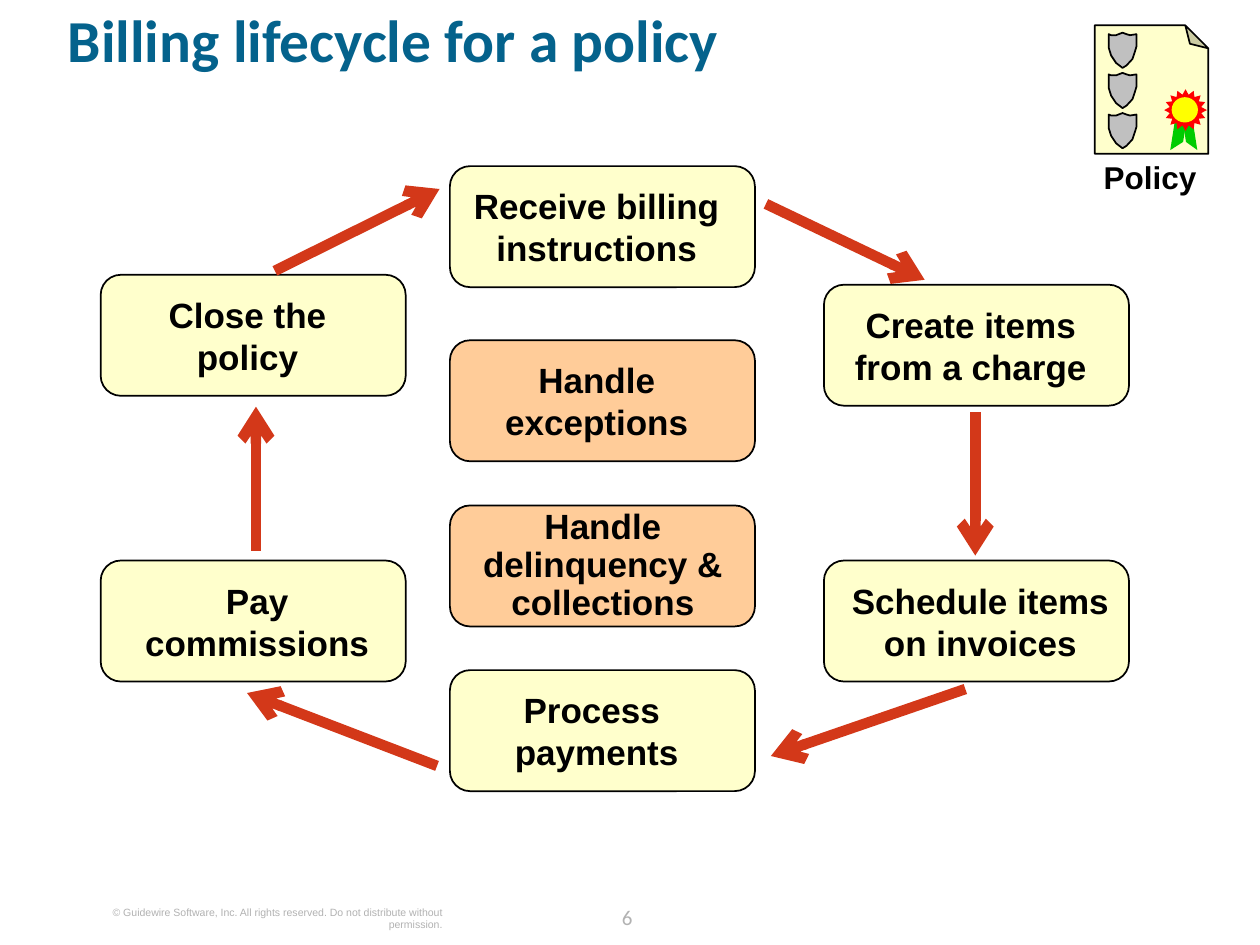
from lxml.etree import SubElement
from pptx import Presentation
from pptx.dml.color import RGBColor
from pptx.enum.shapes import MSO_CONNECTOR, MSO_SHAPE as Shape
from pptx.enum.text import MSO_ANCHOR as Anchor, PP_ALIGN as Align
from pptx.oxml.ns import qn
from pptx.util import Cm, Pt

BLACK = RGBColor(0x00, 0x00, 0x00)
TITLE_BLUE = RGBColor(0x04, 0x62, 0x8C)
FOOTER_GRAY = RGBColor(0xB2, 0xB2, 0xB2)
CREAM = RGBColor(0xFF, 0xFF, 0xCC)
PEACH = RGBColor(0xFF, 0xCC, 0x99)
ARROW_RED = RGBColor(0xD3, 0x38, 0x19)
SHIELD_GRAY = RGBColor(0xC0, 0xC0, 0xC0)
RIBBON_GREEN = RGBColor(0x00, 0xCC, 0x00)
SEAL_RED = RGBColor(0xFF, 0x00, 0x00)
SEAL_YELLOW = RGBColor(0xFF, 0xFF, 0x00)

STEP_WIDTH, STEP_HEIGHT = 6.15, 2.44
LEFT, MIDDLE, RIGHT = 2.03, 9.07, 16.61
NORMAL_LABEL = (0.13, 5.66, 1.96)  # offset from the step, width, height
WIDE_LABEL = (0.13, 6.05, 1.96)
TALL_LABEL = (0, 6.17, 2.57)

STEPS = [
    ("Receive billing instructions", MIDDLE, 3.35, CREAM, NORMAL_LABEL, 1),
    ("Process \vpayments", MIDDLE, 13.51, CREAM, NORMAL_LABEL, 1),
    ("Create items from a charge", RIGHT, 5.74, CREAM, NORMAL_LABEL, 1),
    ("Schedule items on invoices", RIGHT, 11.3, CREAM, WIDE_LABEL, 1),
    ("Pay\vcommissions", LEFT, 11.3, CREAM, WIDE_LABEL, 1),
    ("Close the policy", LEFT, 5.54, CREAM, NORMAL_LABEL, 1),
    ("Handle exceptions", MIDDLE, 6.86, PEACH, NORMAL_LABEL, 1),
    ("Handle delinquency & collections", MIDDLE, 10.19, PEACH, TALL_LABEL, 0.9),
]

ARROWS = [
    (15.44, 4.11, 18.64, 5.64),
    (19.46, 13.89, 15.54, 15.24),
    (8.81, 15.44, 4.98, 13.97),
    (5.54, 5.46, 8.86, 3.81),
    (5.16, 11.1, 5.16, 8.2),
    (19.66, 8.31, 19.66, 11.2),
]

# Hundredths of a centimetre from the top left of the shield
SHIELD_OUTLINE = [
    (28, 71), (15, 61), (5, 46), (0, 30), (0, 3), (5, 5), (15, 5), (20, 3),
    (28, 0), (36, 3), (43, 5), (56, 3), (56, 28), (53, 38), (48, 53), (36, 66),
]


def paint(shape, fill, outlined):
    shape.shadow.inherit = False
    shape.fill.solid()
    shape.fill.fore_color.rgb = fill
    if outlined:
        shape.line.color.rgb = BLACK
        shape.line.width = Pt(1)
    else:
        shape.line.fill.background()


def set_adjustment(shape, value):
    """Write the guide in XML, as some presets list no adjustments in python-pptx."""
    guides = shape.element.spPr.find(qn("a:prstGeom")).find(qn("a:avLst"))
    guides.clear()
    SubElement(guides, qn("a:gd"), name="adj", fmla=f"val {round(value * 100000)}")


def add_preset(slide, kind, frame, fill, outlined=False, rotation=0, adjustment=None):
    shape = slide.shapes.add_shape(kind, *map(Cm, frame))
    paint(shape, fill, outlined)
    shape.rotation = rotation
    if adjustment is not None:
        set_adjustment(shape, adjustment)
    return shape


def remove_insets(text_frame):
    text_frame.margin_left = text_frame.margin_right = 0
    text_frame.margin_top = text_frame.margin_bottom = 0


def format_paragraph(para, size, color, name="Arial", bold=False, align=Align.CENTER):
    para.alignment = align
    para.font.size = Pt(size)
    para.font.name = name
    para.font.bold = bold
    para.font.color.rgb = color


def add_text(slide, text, frame, size, color, **font):
    box = slide.shapes.add_textbox(*map(Cm, frame))
    box.text_frame.word_wrap = True
    box.text_frame.text = text
    format_paragraph(box.text_frame.paragraphs[0], size, color, **font)
    return box.text_frame


def set_title(slide, text):
    title = slide.shapes.title
    title.left, title.top, title.width, title.height = map(Cm, (1.37, 0.33, 23.11, 2.06))
    frame = title.text_frame
    frame.text = text
    frame.vertical_anchor = Anchor.TOP
    remove_insets(frame)
    para = frame.paragraphs[0]
    para.line_spacing = 0.8
    format_paragraph(para, 34, TITLE_BLUE, name="Calibri", bold=True, align=Align.LEFT)


def add_step(slide, text, left, top, fill, label, line_spacing):
    add_preset(slide, Shape.ROUNDED_RECTANGLE, (left, top, STEP_WIDTH, STEP_HEIGHT),
               fill, outlined=True, adjustment=0.167)
    offset, width, height = label
    label_top = top + (STEP_HEIGHT - height) / 2
    frame = add_text(slide, text, (left + offset, label_top, width, height),
                     20, BLACK, bold=True)
    frame.vertical_anchor = Anchor.MIDDLE
    frame.paragraphs[0].line_spacing = line_spacing


def add_arrow(slide, ends):
    arrow = slide.shapes.add_connector(MSO_CONNECTOR.STRAIGHT, *map(Cm, ends))
    arrow.line.color.rgb = ARROW_RED
    arrow.line.width = Pt(6)
    properties = arrow.element.spPr
    SubElement(properties.find(qn("a:ln")), qn("a:tailEnd"), type="arrow")
    SubElement(properties, qn("a:effectLst"))


def add_shield(slide, left, top):
    builder = slide.shapes.build_freeform(*SHIELD_OUTLINE[0], scale=Cm(0.01))
    builder.add_line_segments(SHIELD_OUTLINE[1:], close=True)
    paint(builder.convert_to_shape(Cm(left), Cm(top)), SHIELD_GRAY, outlined=True)


def add_policy_icon(slide):
    """Draw a page with three shields and a ribboned seal, and its caption."""
    add_preset(slide, Shape.FOLDED_CORNER, (21.92, 0.66, 2.59, 2.29), CREAM,
               outlined=True, rotation=270, adjustment=0.203)
    for row in range(3):
        add_shield(slide, 22.35, 0.66 + 0.81 * row)
    ribbon = add_preset(slide, Shape.PARALLELOGRAM, (23.37, 2.54, 0.79, 0.23),
                        RIBBON_GREEN, rotation=278.9, adjustment=0.882)
    ribbon.element.spPr.get_or_add_xfrm().set("flipH", "1")
    add_preset(slide, Shape.PARALLELOGRAM, (23.57, 2.54, 0.81, 0.2),
               RIBBON_GREEN, rotation=81.1, adjustment=0.979)
    add_preset(slide, Shape.STAR_16_POINT, (23.47, 1.8, 0.86, 0.84), SEAL_RED,
               adjustment=0.375)
    add_preset(slide, Shape.OVAL, (23.62, 1.96, 0.53, 0.51), SEAL_YELLOW)
    remove_insets(add_text(slide, "Policy", (21.56, 3.18, 3.25, 0.76),
                           18, BLACK, bold=True))


def add_footer(slide):
    number = add_text(slide, "6", (11.92, 18.11, 1.45, 0.64), 12, FOOTER_GRAY,
                      name="Calibri")
    number.paragraphs[0].line_spacing = Pt(18)
    notice = add_text(
        slide,
        "© Guidewire Software, Inc. All rights reserved. Do not distribute without permission.",
        (1.55, 18.26, 7.37, 0.5), 6, FOOTER_GRAY, align=Align.RIGHT)
    for frame in (number, notice):
        remove_insets(frame)


def main():
    deck = Presentation()
    deck.slide_width, deck.slide_height = Cm(25.4), Cm(19.05)
    slide = deck.slides.add_slide(deck.slide_layouts[5])
    add_footer(slide)
    set_title(slide, "Billing lifecycle for a policy")
    for step in STEPS:
        add_step(slide, *step)
    for ends in ARROWS:
        add_arrow(slide, ends)
    add_policy_icon(slide)
    deck.save("out.pptx")


if __name__ == "__main__":
    main()
